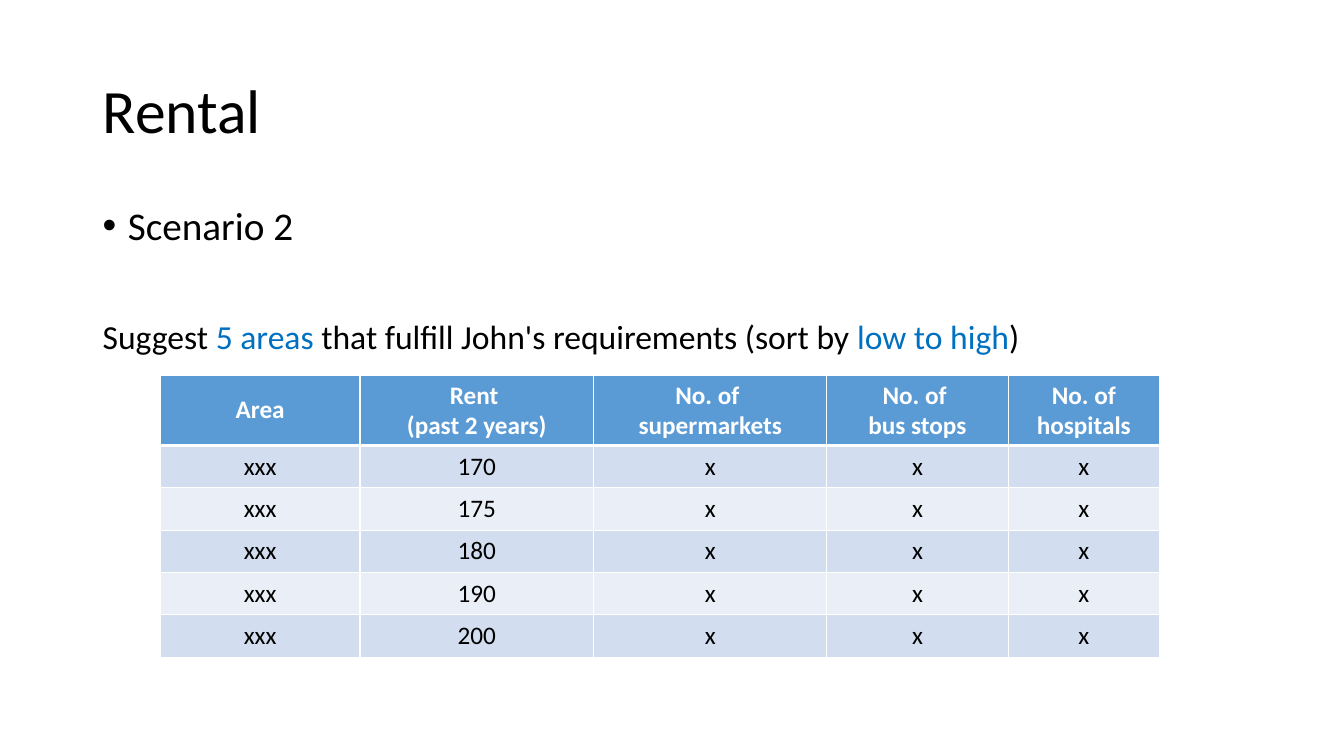
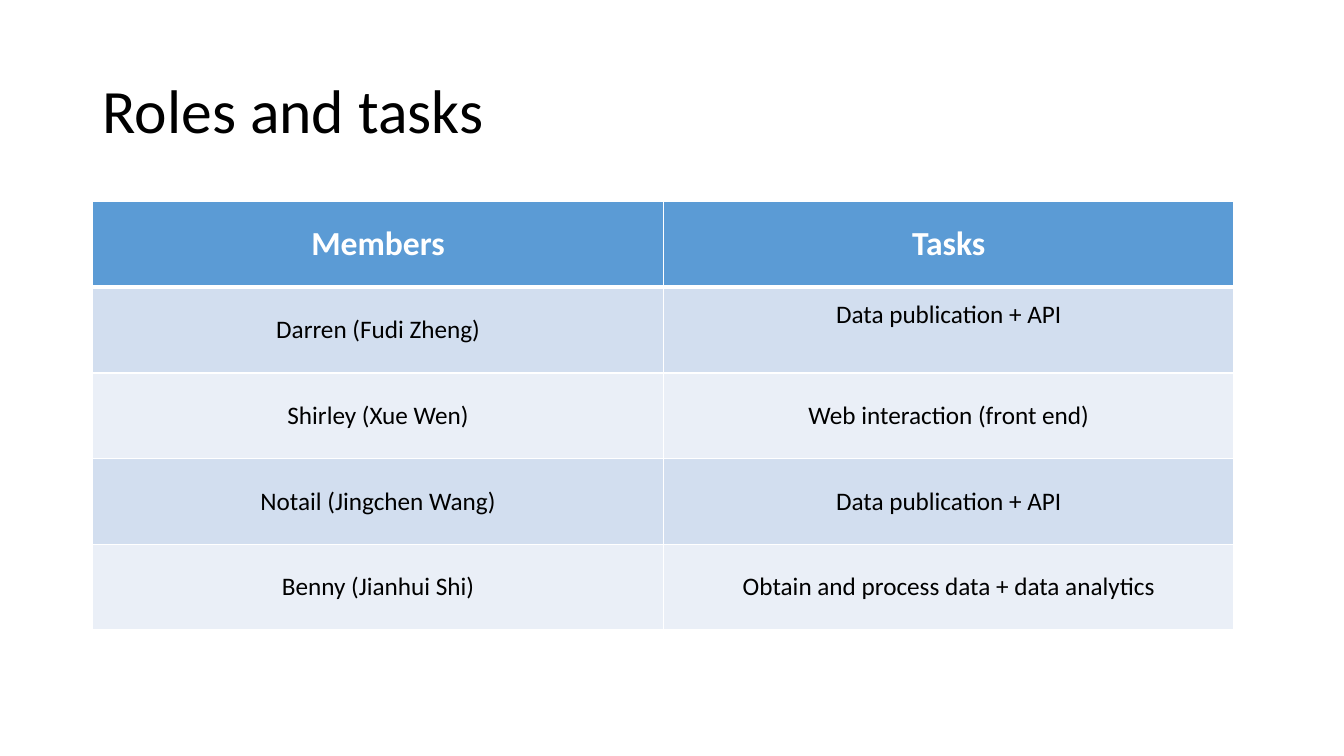
from lxml.etree import SubElement
from pptx import Presentation
from pptx.dml.color import RGBColor
from pptx.enum.text import MSO_ANCHOR, PP_ALIGN
from pptx.oxml.ns import qn
from pptx.util import Pt

PX = 9144  # 100 px to the inch
FONT = "Calibri"
COLORS = {
    "text": "000000",
    "accent": "0070C0",
    "header": "5B9BD5",
    "band_dark": "D2DEEF",
    "band_light": "EAEFF7",
    "white": "FFFFFF",
}

SLIDES = [
    {
        "title": "Rental",
        "body": [
            {"runs": [("Scenario 2", "text")], "size": 28, "bullet": True,
             "space_before": 10},
            {"runs": [("Suggest ", "text"), ("5 areas ", "accent"),
                      ("that fulfill John's requirements (sort by ", "text"),
                      ("low to high", "accent"), (")", "text")],
             "size": 24, "space_before": 51},
        ],
        "left": 159, "top": 372,
        "columns": [198, 232, 231, 180, 150],
        "header_height": 70, "row_height": 42, "header_size": 18,
        "rows": [["Area", "Rent \n(past 2 years)", "No. of \nsupermarkets",
                  "No. of \nbus stops", "No. of hospitals"]]
                + [["xxx", rent, "x", "x", "x"]
                   for rent in ("170", "175", "180", "190", "200")],
    },
    {
        "title": "Roles and tasks",
        "body": [],
        "left": 92, "top": 200,
        "columns": [566, 566],
        "header_height": 85, "row_height": 85, "header_size": 24,
        "rows": [["Members", "Tasks"],
                 ["Darren (Fudi Zheng)", "Data publication + API"],
                 ["Shirley (Xue Wen)", "Web interaction (front end)"],
                 ["Notail (Jingchen Wang)", "Data publication + API"],
                 ["Benny (Jianhui Shi)", "Obtain and process data + data analytics"]],
        "raised_cell": (1, 1),
    },
]


def add_text(frame, runs, size, bold=False, align=PP_ALIGN.LEFT,
             line_spacing=None, space_before=0, bullet=False):
    """Add one paragraph of (text, color name) runs, filling an empty first one."""
    first = frame.paragraphs[0]
    paragraph = frame.add_paragraph() if first.runs else first
    paragraph.alignment = align
    paragraph.space_before = Pt(space_before)
    if line_spacing:
        paragraph.line_spacing = line_spacing
    if bullet:
        properties = paragraph._p.get_or_add_pPr()
        properties.set("marL", str(25 * PX))
        properties.set("indent", str(-25 * PX))
        SubElement(properties, qn("a:buFont"), typeface="Arial")
        SubElement(properties, qn("a:buChar"), char="•")
    for text, color in runs:
        run = paragraph.add_run()
        run.text = text
        run.font.name = FONT
        run.font.size = Pt(size)
        run.font.bold = bold
        run.font.color.rgb = RGBColor.from_string(COLORS[color])


def style_cell(cell, fill, top_width, bottom_width):
    """Give a cell its fill and white borders, with widths in points."""
    properties = cell._tc.get_or_add_tcPr()
    widths = {"lnL": 1, "lnR": 1, "lnT": top_width, "lnB": bottom_width}
    for side, width in widths.items():
        border = SubElement(properties, qn(f"a:{side}"), w=str(Pt(width)))
        solid = SubElement(border, qn("a:solidFill"))
        SubElement(solid, qn("a:srgbClr"), val=COLORS["white"])
    cell.fill.solid()
    cell.fill.fore_color.rgb = RGBColor.from_string(COLORS[fill])
    cell.vertical_anchor = MSO_ANCHOR.MIDDLE


presentation = Presentation()
presentation.slide_width = 1333 * PX
presentation.slide_height = 750 * PX

for content in SLIDES:
    slide = presentation.slides.add_slide(presentation.slide_layouts[6])

    title = slide.shapes.add_textbox(92 * PX, 40 * PX, 1150 * PX, 145 * PX).text_frame
    title.word_wrap = True
    title.vertical_anchor = MSO_ANCHOR.MIDDLE
    add_text(title, [(content["title"], "text")], size=44, line_spacing=0.9)

    if content["body"]:
        body = slide.shapes.add_textbox(92 * PX, 200 * PX, 1150 * PX, 476 * PX).text_frame
        body.word_wrap = True
        for body_paragraph in content["body"]:
            add_text(body, line_spacing=0.9, **body_paragraph)

    rows, columns = content["rows"], content["columns"]
    heights = [content["header_height"]] + [content["row_height"]] * (len(rows) - 1)
    table = slide.shapes.add_table(
        len(rows), len(columns), content["left"] * PX, content["top"] * PX,
        sum(columns) * PX, sum(heights) * PX).table
    for column, width in zip(table.columns, columns):
        column.width = width * PX

    for row_index, (row, height) in enumerate(zip(rows, heights)):
        table.rows[row_index].height = height * PX
        is_header = row_index == 0
        band = "band_dark" if row_index % 2 else "band_light"
        for column_index, text in enumerate(row):
            cell = table.cell(row_index, column_index)
            style_cell(cell, "header" if is_header else band,
                       top_width=3 if row_index == 1 else 1,
                       bottom_width=3 if is_header else 1)
            if content.get("raised_cell") == (row_index, column_index):
                cell.margin_bottom = 35 * PX
            for line in text.split("\n"):
                add_text(cell.text_frame, [(line, "white" if is_header else "text")],
                         size=content["header_size"] if is_header else 18,
                         bold=is_header, align=PP_ALIGN.CENTER)

presentation.save("out.pptx")
